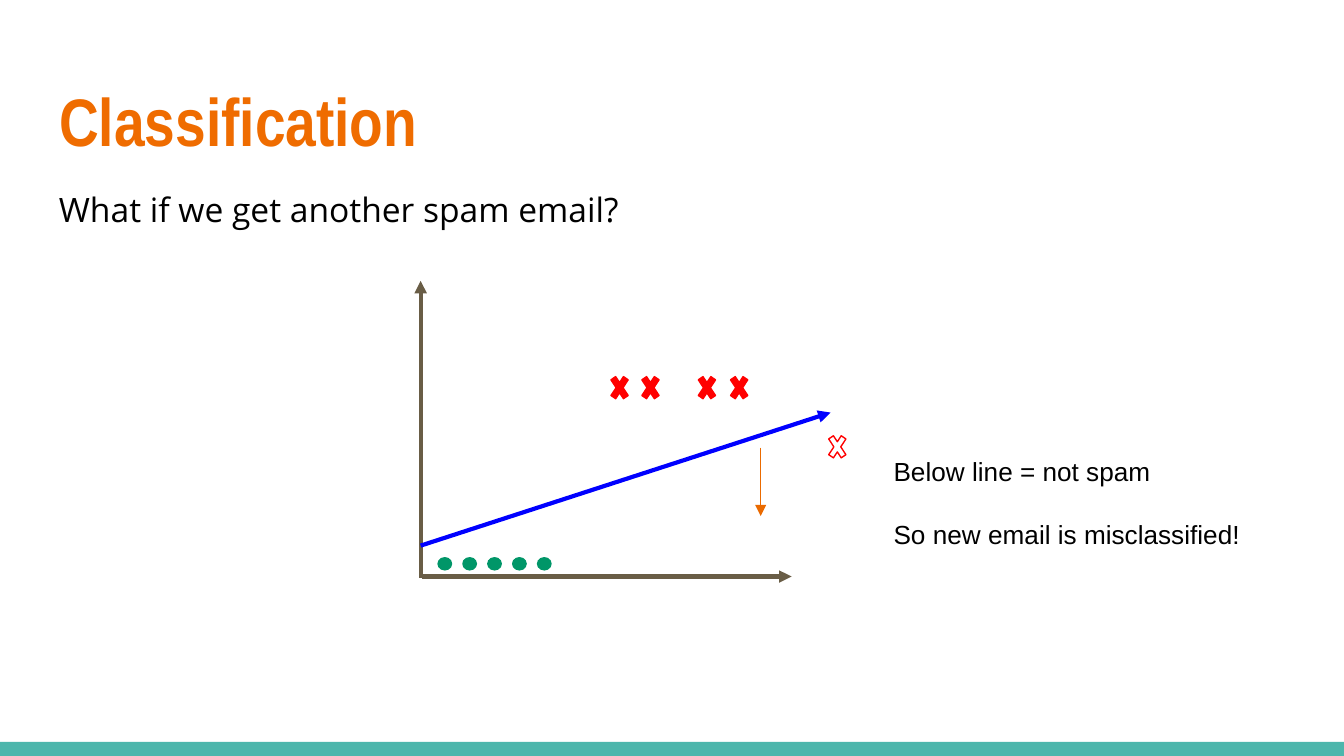
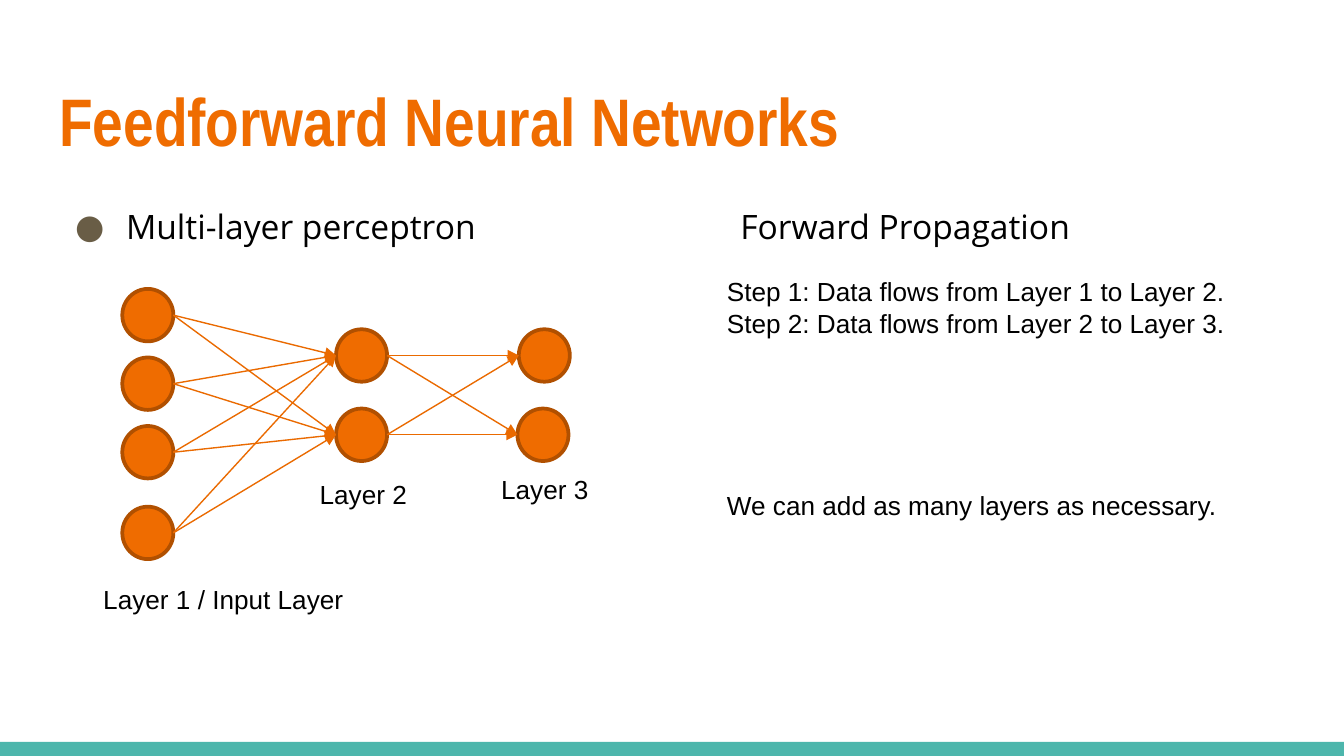
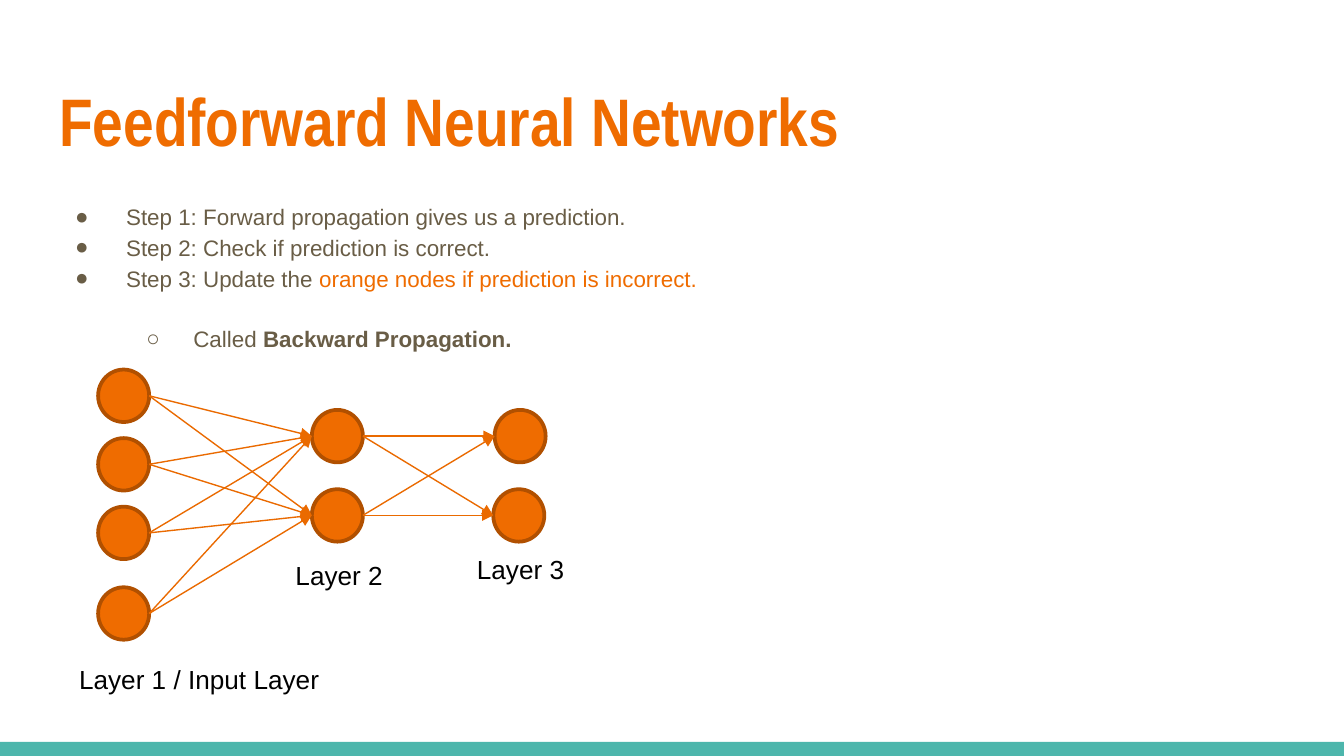
from pptx import Presentation
from pptx.dml.color import RGBColor
from pptx.enum.shapes import MSO_CONNECTOR as Conn, MSO_SHAPE as Kind
from pptx.enum.text import MSO_ANCHOR as Anchor, PP_ALIGN as Align
from pptx.oxml.ns import qn
from pptx.util import Inches, Pt
from lxml.etree import SubElement

ORANGE, EDGE, ARROW = "EF6C00", "B15000", "EA6A00"
BROWN, BLACK, TEAL = "695D46", "000000", "4DB6AC"
GREEN, RED, BLUE, WHITE = "009668", "FF0000", "0000FF", "FFFFFF"


def color(code):
    """Turn a hex string into a colour."""
    return RGBColor.from_string(code)


def style(run, size, code, face="Arial", bold=False):
    """Format one run."""
    font = run.font
    font.size, font.name, font.bold = Pt(size), face, bold
    font.color.rgb = color(code)


def shape(shapes, kind, x, y, w, h, fill, edge=None, width=0.75):
    """Add a filled preset shape, outlined when an edge colour is given."""
    item = shapes.add_shape(kind, Inches(x), Inches(y), Inches(w), Inches(h))
    item.shadow.inherit = False
    item.fill.solid()
    item.fill.fore_color.rgb = color(fill)
    if edge:
        item.line.color.rgb = color(edge)
        item.line.width = Pt(width)
    else:
        item.line.fill.background()
    return item


def arrow(shapes, start, end, code, width=0.75):
    """Draw a straight arrow between two points."""
    line = shapes.add_connector(Conn.STRAIGHT, *map(Inches, (*start, *end)))
    line.line.color.rgb = color(code)
    line.line.width = Pt(width)
    SubElement(line.line._get_or_add_ln(), qn("a:tailEnd"), type="triangle")
    SubElement(line._element.spPr, qn("a:effectLst"))


def text(shapes, x, y, w, h, lines, size=14, code=BLACK, face="Arial",
         inset=0.05, wrap=False, gap=0, space=None):
    """Add a text box with one paragraph per line."""
    box = shapes.add_textbox(Inches(x), Inches(y), Inches(w), Inches(h))
    frame = box.text_frame
    frame.word_wrap = wrap
    frame.margin_top = frame.margin_bottom = Inches(inset)
    frame.margin_left = frame.margin_right = Inches(0.1)
    frame.text = "\n".join(lines)
    for i, para in enumerate(frame.paragraphs):
        para.line_spacing = space
        para.space_before = Pt(gap if i else 0)
        for run in para.runs:
            style(run, size, code, face)
    return frame


def bullet(para, face="Arial", mark="●", left=0.5, hang=0.38):
    """Give a paragraph a hanging bullet."""
    props = para._p.get_or_add_pPr()
    props.set("marL", str(Inches(left)))
    props.set("indent", str(-Inches(hang)))
    tint = SubElement(props, qn("a:buClr"))
    SubElement(tint, qn("a:srgbClr"), val=BROWN)
    SubElement(props, qn("a:buFont"), typeface=face)
    SubElement(props, qn("a:buChar"), char=mark)


def page(deck, name):
    """Add a slide with the shared band and title."""
    slide = deck.slides.add_slide(deck.slide_layouts[5])
    shape(slide.shapes, Kind.RECTANGLE, 0, 5.52, 10, 0.11, TEAL)
    title = slide.shapes.title
    title.left, title.top = Inches(0.34), Inches(0.49)
    title.width, title.height = Inches(9.32), Inches(0.77)
    frame = title.text_frame
    frame.text = name
    frame.vertical_anchor = Anchor.BOTTOM
    frame.margin_left = frame.margin_right = frame.margin_top = Inches(0.1)
    frame.margin_bottom = Inches(0.07)
    para = frame.paragraphs[0]
    para.alignment = Align.LEFT
    style(para.runs[0], 36, ORANGE, "Arial Narrow", True)
    return slide.shapes


def plot(shapes, x, y):
    """Draw the axes, the dividing line and both classes of email."""
    axes = shapes.add_group_shape().shapes
    arrow(axes, (x, y + 2.21), (x, y), BROWN, 2.25)
    arrow(axes, (x + 0.01, y + 2.2), (x + 2.76, y + 2.2), BROWN, 2.25)
    for i in range(5):
        shape(shapes, Kind.OVAL, x + 0.13 + 0.74 * i / 4, y + 2.06, 0.1, 0.09,
              GREEN, GREEN)
    arrow(shapes, (x, y + 1.97), (x + 3.05, y + 0.98), BLUE, 2.25)
    crosses = [(3.01, 1.1, WHITE)]
    crosses += [(dx, 0.66, RED) for dx in (1.39, 1.62, 2.04, 2.28)]
    for dx, dy, fill in crosses:
        cross = shape(shapes, Kind.MATH_MULTIPLY, x + dx, y + dy, 0.18, 0.27,
                      fill, RED)
        cross.adjustments[0] = 0.235
    arrow(shapes, (x + 2.53, y + 1.24), (x + 2.53, y + 1.75), ARROW)


def net(shapes, x, y):
    """Draw three layers of nodes, joined and labelled."""
    wide, high = 0.38, 0.39
    layers = [
        [(0, 0), (0, 0.51), (0, 1.02), (0, 1.62)],
        [(1.59, 0.3), (1.59, 0.89)],
        [(2.95, 0.3), (2.94, 0.89)],
    ]
    for layer in layers:
        for dx, dy in layer:
            shape(shapes, Kind.OVAL, x + dx, y + dy, wide, high, ORANGE, EDGE, 2)
    for near, far in zip(layers, layers[1:]):
        for ax, ay in near:
            for bx, by in far:
                arrow(shapes, (x + ax + wide, y + ay + high / 2),
                      (x + bx, y + by + high / 2), ARROW)
    labels = [("Layer 1 / Input Layer", -0.24, 2.14, 2),
              ("Layer 2", 1.37, 1.36, 0.85), ("Layer 3", 2.72, 1.32, 0.85)]
    for label, dx, dy, w in labels:
        text(shapes, x + dx, y + dy, w, 0.34, [label])


def classes(deck):
    """Build the slide on classification."""
    shapes = page(deck, "Classification")
    text(shapes, 0.34, 1.26, 9.32, 3.61, ["What if we get another spam email?"],
         18, face="Open Sans", inset=0.1, wrap=True, space=1.15)
    plot(shapes, 3.13, 2.09)
    text(shapes, 6.55, 3.34, 2.79, 0.81,
         ["Below line = not spam", "So new email is misclassified!"], gap=17)


def forward(deck):
    """Build the slide on forward propagation."""
    shapes = page(deck, "Feedforward Neural Networks")
    heads = [(0.34, 4.5, "Multi-layer perceptron"),
             (5.41, 4.25, "Forward Propagation")]
    frames = [text(shapes, x, 1.43, w, 0.55, [head], 18, face="Open Sans",
                   inset=0.1, wrap=True) for x, w, head in heads]
    bullet(frames[0].paragraphs[0], "Open Sans")
    text(shapes, 5.31, 2, 4.35, 0.57,
         ["Step 1: Data flows from Layer 1 to Layer 2.",
          "Step 2: Data flows from Layer 2 to Layer 3."], wrap=True, gap=0.5)
    text(shapes, 5.31, 3.59, 4.35, 0.34,
         ["We can add as many layers as necessary."], wrap=True)
    net(shapes, 0.91, 2.15)


def backward(deck):
    """Build the slide on backward propagation."""
    shapes = page(deck, "Feedforward Neural Networks")
    frame = text(shapes, 0.34, 1.38, 9.32, 3.61,
                 ["Step 1: Forward propagation gives us a prediction.",
                  "Step 2: Check if prediction is correct.",
                  "Step 3: Update the ", "Called "],
                 12, BROWN, inset=0.1, wrap=True, space=1.15)
    steps = frame.paragraphs
    for step in steps[:3]:
        bullet(step)
    last = steps[3]
    last.level = 1
    last.space_before = Pt(16)
    bullet(last, mark="○", left=1, hang=0.35)
    ends = [(steps[2], "orange nodes if prediction is incorrect.", ORANGE, False),
            (last, "Backward Propagation.", BROWN, True)]
    for para, words, code, bold in ends:
        run = para.add_run()
        run.text = words
        style(run, 12, code, bold=bold)
    net(shapes.add_group_shape().shapes, 0.73, 2.75)


def main():
    """Build and save the deck."""
    deck = Presentation()
    deck.slide_width, deck.slide_height = Inches(10), Inches(10) * 9 // 16
    for build in (classes, forward, backward):
        build(deck)
    deck.save("out.pptx")


if __name__ == "__main__":
    main()
